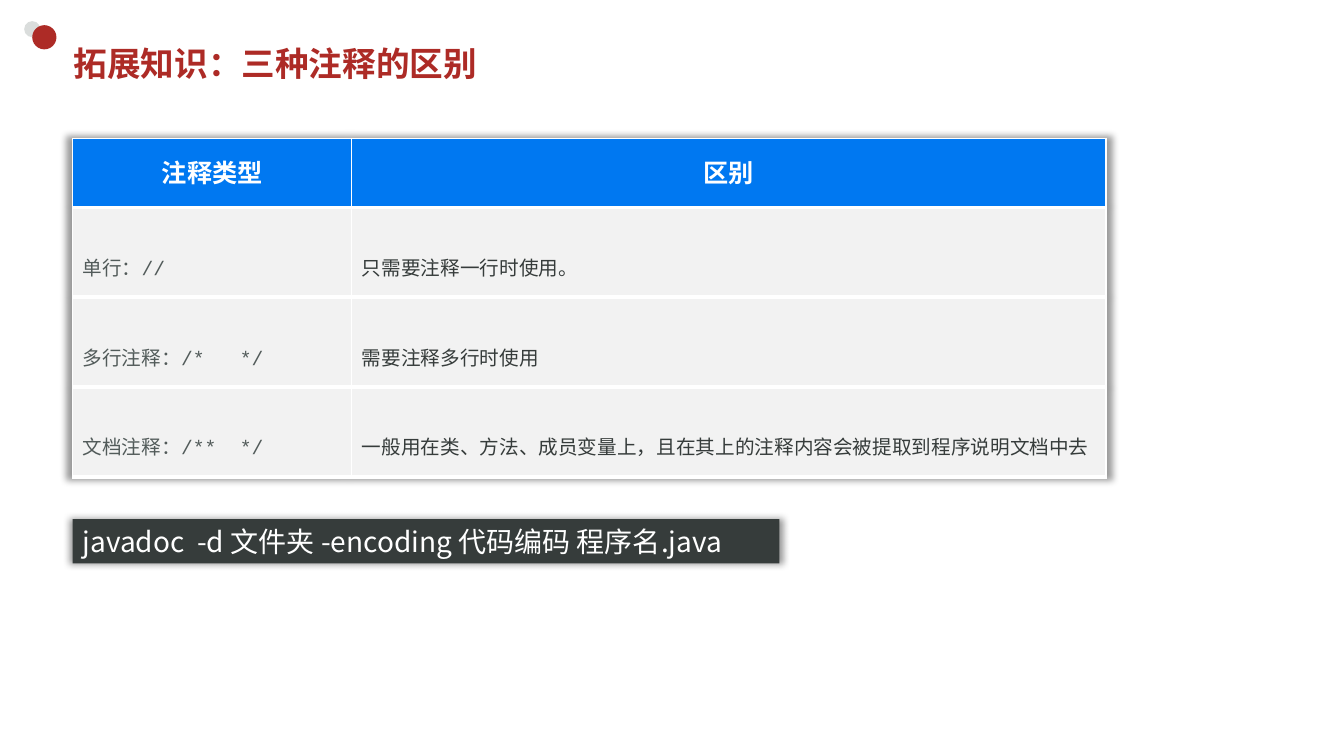
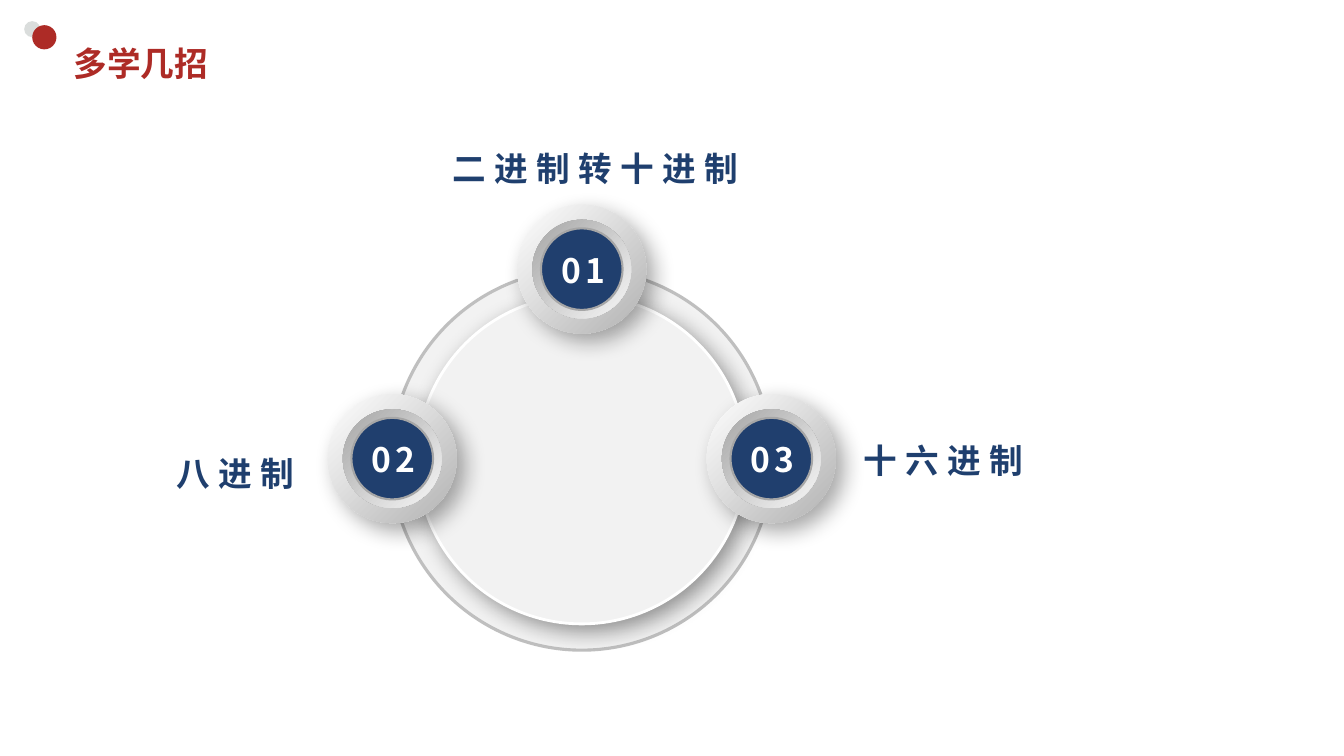
"""Build two Java lesson slides: comment types and number base conversions."""
from dataclasses import dataclass

from lxml import etree
from pptx import Presentation
from pptx.dml.color import RGBColor
from pptx.enum.shapes import MSO_SHAPE
from pptx.enum.text import MSO_ANCHOR, PP_ALIGN
from pptx.oxml.ns import qn
from pptx.util import Inches, Pt

OVAL = MSO_SHAPE.OVAL
RECTANGLE = MSO_SHAPE.RECTANGLE
LEFT, CENTER = PP_ALIGN.LEFT, PP_ALIGN.CENTER
MIDDLE = MSO_ANCHOR.MIDDLE

COLORS = {
    "white": "FFFFFF",
    "black": "000000",
    "red": "AD2B26",
    "dot": "DADDDC",
    "header": "0078F1",
    "panel": "F2F2F2",
    "code": "525B5A",
    "dark": "363C3B",
    "navy": "203F6E",
    "label": "1F3F6E",
    "ring": "BFBFBF",
    "rim": "A6A6A6",
    "bezel": "B2B2B2",
    "pale": "F7F7F7",
}
MONO, SANS, SANS_JP = "Courier New", "Noto Sans CJK SC", "Noto Sans CJK JP"
TITLE_ONLY = 5


@dataclass(frozen=True)
class TextStyle:
    size: float
    color: str
    font: str = SANS
    bold: bool = False
    spacing: float = 0
    align: PP_ALIGN = LEFT
    line_spacing: float | Pt | None = None


@dataclass(frozen=True)
class Shadow:
    opacity: int
    blur: float
    distance: float = 0
    angle: int = 0
    scale: int = 100


@dataclass(frozen=True)
class Node:
    number: str
    x: float
    y: float
    label: str
    label_left: float
    label_top: float
    label_width: float


TITLE = TextStyle(24, "red", MONO, bold=True)
HEADER = TextStyle(18, "white", "Lato", bold=True, align=CENTER, line_spacing=Pt(24))
CODE_CELL = TextStyle(14, "code", MONO, line_spacing=2.0)
BODY_CELL = TextStyle(14, "dark", line_spacing=2.0)
COMMAND = TextStyle(20, "white", SANS_JP)
NUMBER = TextStyle(24, "white", bold=True, spacing=3, align=CENTER)
LABEL = TextStyle(24, "label", bold=True, spacing=6)

GLOW = Shadow(40, 5, scale=101)
DISC_SHADOW = Shadow(40, 16, 6, 45)
NODE_SHADOW = Shadow(35, 16, 8, 45)

COMMENT_ROWS = [
    ("注释类型", "区别"),
    ("单行：//", "只需要注释一行时使用。"),
    ("多行注释：/*   */", "需要注释多行时使用"),
    ("文档注释：/**  */", "一般用在类、方法、成员变量上，且在其上的注释内容会被提取到程序说明文档中去"),
]
RING_X, RING_Y, ORBIT = 5.77, 4.55, 1.88
NODES = [
    Node("01", RING_X, RING_Y - ORBIT, "二进制转十进制", 4.39, 1.42, 4.59),
    Node("02", RING_X - ORBIT, RING_Y, "八进制", 1.65, 4.44, 1.66),
    Node("03", RING_X + ORBIT, RING_Y, "十六进制", 8.47, 4.32, 3.19),
]


def rgb(name: str) -> RGBColor:
    return RGBColor.from_string(COLORS[name])


def write(frame, text: str, style: TextStyle) -> None:
    frame.text = text
    para = frame.paragraphs[0]
    para.alignment = style.align
    if style.line_spacing:
        para.line_spacing = style.line_spacing
    span = para.runs[0]
    span.font.size = Pt(style.size)
    span.font.bold = style.bold
    span.font.color.rgb = rgb(style.color)
    span.font.name = style.font
    properties = span.font._element
    east_asian = SANS_JP if style.font == SANS_JP else SANS
    etree.SubElement(properties, qn("a:ea"), typeface=east_asian)
    if style.spacing:
        properties.set("spc", str(int(style.spacing * 100)))


def add_shadow(effects, shadow: Shadow) -> None:
    outer = etree.SubElement(
        effects, qn("a:outerShdw"),
        blurRad=str(Pt(shadow.blur)), dist=str(Pt(shadow.distance)),
        dir=str(shadow.angle * 60000), sx=str(shadow.scale * 1000),
        sy=str(shadow.scale * 1000), algn="ctr", rotWithShape="0")
    color = etree.SubElement(outer, qn("a:srgbClr"), val=COLORS["black"])
    etree.SubElement(color, qn("a:alpha"), val=str(shadow.opacity * 1000))


def add_shape(page, kind, left: float, top: float, width: float, height: float,
              fill: str | tuple[str, str], line: str | None = None,
              line_width: float = 0, shadow: Shadow | None = None):
    shape = page.shapes.add_shape(
        kind, Inches(left), Inches(top), Inches(width), Inches(height))
    shape.shadow.inherit = False
    if isinstance(fill, tuple):
        shape.fill.gradient()
        shape.fill.gradient_angle = 315
        for stop, name in zip(shape.fill.gradient_stops, fill):
            stop.color.rgb = rgb(name)
    else:
        shape.fill.solid()
        shape.fill.fore_color.rgb = rgb(fill)
    if line:
        shape.line.color.rgb = rgb(line)
        shape.line.width = Pt(line_width)
    else:
        shape.line.fill.background()
    if shadow:
        add_shadow(shape.element.spPr.find(qn("a:effectLst")), shadow)
    return shape


def add_circle(page, x: float, y: float, diameter: float, fill, **options):
    return add_shape(page, OVAL, x - diameter / 2, y - diameter / 2,
                     diameter, diameter, fill, **options)


def add_text(page, left: float, top: float, width: float, height: float,
             text: str, style: TextStyle) -> None:
    box = page.shapes.add_textbox(
        Inches(left), Inches(top), Inches(width), Inches(height))
    box.text_frame.word_wrap = True
    write(box.text_frame, text, style)


def add_page(deck, title: str):
    page = deck.slides.add_slide(deck.slide_layouts[TITLE_ONLY])
    box = page.shapes.title
    box.left, box.top = Inches(0.63), Inches(0.37)
    box.width, box.height = Inches(11.75), Inches(0.52)
    box.text_frame.vertical_anchor = MIDDLE
    write(box.text_frame, title, TITLE)
    return page


def add_layout_dots(deck, page) -> None:
    dots = [add_circle(page, 0.32, 0.29, 0.16, "dot"),
            add_circle(page, 0.44, 0.37, 0.24, "red")]
    tree = deck.slide_layouts[TITLE_ONLY].shapes.element
    for dot in dots:
        tree.append(dot.element)


def set_borders(cell, top_width: float) -> None:
    properties = cell._tc.get_or_add_tcPr()
    widths = {"a:lnL": 1, "a:lnR": 1, "a:lnT": top_width, "a:lnB": 3}
    for index, (tag, width) in enumerate(widths.items()):
        line = etree.Element(qn(tag), w=str(Pt(width)))
        fill = etree.SubElement(line, qn("a:solidFill"))
        etree.SubElement(fill, qn("a:srgbClr"), val=COLORS["white"])
        properties.insert(index, line)


def add_comment_table(page) -> None:
    table = page.shapes.add_table(
        len(COMMENT_ROWS), 2, Inches(0.72), Inches(1.37),
        Inches(10.25), Inches(3.36)).table
    table.horz_banding = False
    for column, width in zip(table.columns, (2.77, 7.48)):
        column.width = Inches(width)
    for row_index, texts in enumerate(COMMENT_ROWS):
        is_header = row_index == 0
        table.rows[row_index].height = Inches(0.69 if is_header else 0.89)
        styles = (HEADER, HEADER) if is_header else (CODE_CELL, BODY_CELL)
        for column_index, (text, style) in enumerate(zip(texts, styles)):
            cell = table.cell(row_index, column_index)
            cell.vertical_anchor = MIDDLE
            cell.fill.solid()
            cell.fill.fore_color.rgb = rgb("header" if is_header else "panel")
            set_borders(cell, 1 if is_header else 3)
            write(cell.text_frame, text, style)
    effects = etree.Element(qn("a:effectLst"))
    add_shadow(effects, GLOW)
    table._tbl.tblPr.insert(0, effects)


def add_node(page, node: Node) -> None:
    add_circle(page, node.x, node.y, 1.28, ("white", "bezel"), shadow=NODE_SHADOW)
    add_circle(page, node.x, node.y, 0.98, ("rim", "pale"))
    add_circle(page, node.x, node.y, 0.81, "navy", line="rim", line_width=1.5)
    add_text(page, node.x - 0.58, node.y - 0.24, 1.19, 0.5, node.number, NUMBER)
    add_text(page, node.label_left, node.label_top, node.label_width, 0.5,
             node.label, LABEL)


def build_comments(deck) -> None:
    page = add_page(deck, "拓展知识：三种注释的区别")
    add_layout_dots(deck, page)
    add_comment_table(page)
    command = add_shape(page, RECTANGLE, 0.72, 5.15, 7.01, 0.44, "dark", shadow=GLOW)
    write(command.text_frame, "javadoc  -d 文件夹 -encoding 代码编码 程序名.java", COMMAND)


def build_conversions(deck) -> None:
    page = add_page(deck, "多学几招")
    add_circle(page, RING_X, RING_Y + 0.01, 3.78, "panel", line="ring", line_width=2.25)
    add_circle(page, RING_X, RING_Y + 0.01, 3.26, "panel", line="white",
               line_width=2, shadow=DISC_SHADOW)
    for node in NODES:
        add_node(page, node)


def main() -> None:
    deck = Presentation()
    deck.slide_width, deck.slide_height = Inches(13.33), Inches(7.5)
    build_comments(deck)
    build_conversions(deck)
    deck.save("out.pptx")


if __name__ == "__main__":
    main()
